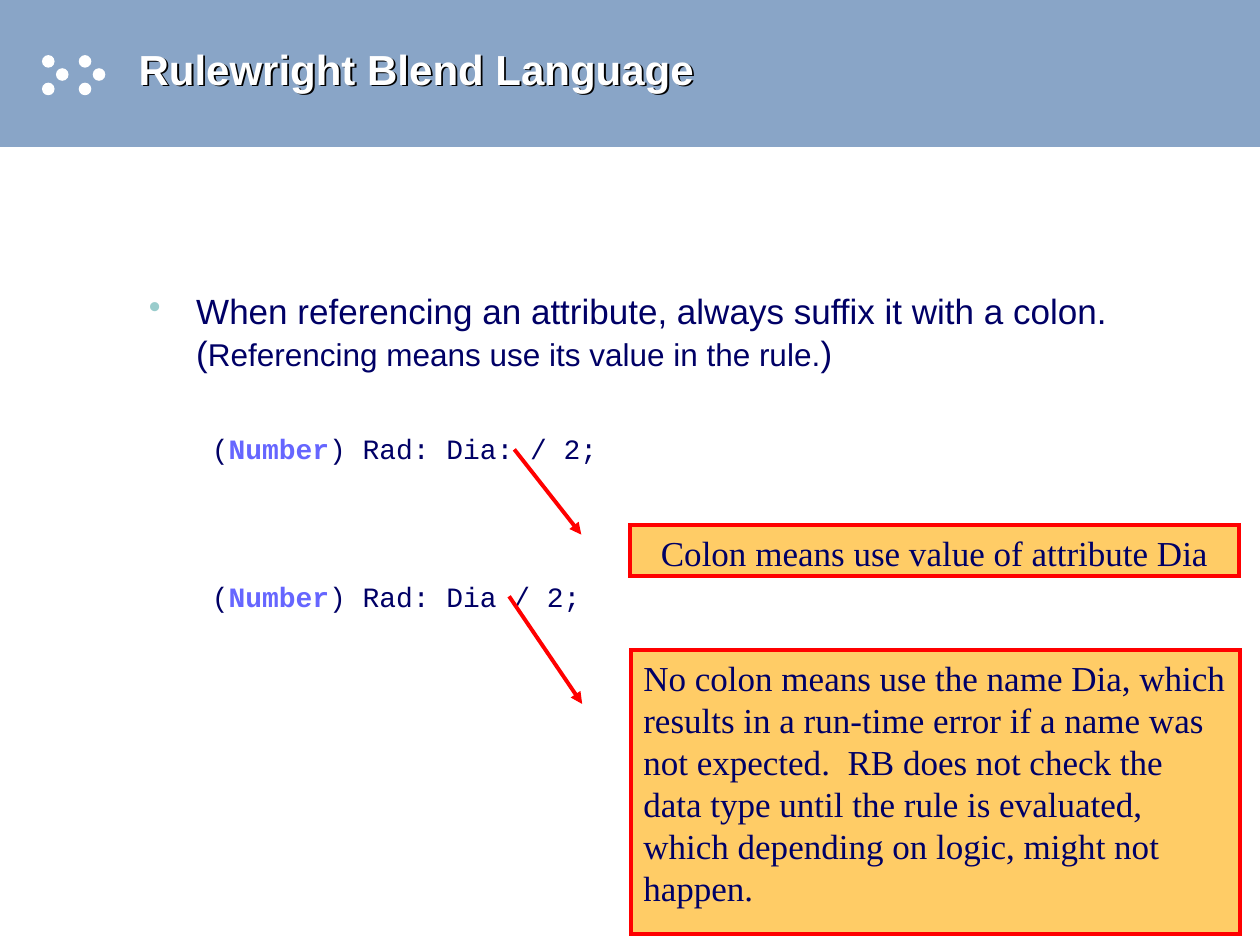
from dataclasses import dataclass

from lxml import etree
from pptx import Presentation
from pptx.dml.color import RGBColor
from pptx.enum.shapes import MSO_SHAPE
from pptx.enum.text import MSO_ANCHOR, MSO_AUTO_SIZE, PP_ALIGN
from pptx.oxml.ns import qn
from pptx.util import Pt

RECTANGLE = MSO_SHAPE.RECTANGLE
OVAL = MSO_SHAPE.OVAL
CALLOUT = MSO_SHAPE.LINE_CALLOUT_1
LEFT, CENTER = PP_ALIGN.LEFT, PP_ALIGN.CENTER
TOP, MIDDLE = MSO_ANCHOR.TOP, MSO_ANCHOR.MIDDLE
NO_FIT = MSO_AUTO_SIZE.NONE

WHITE, BANNER, NAVY = "FFFFFF", "89A5C7", "000066"
KEYWORD, BULLET, SHADOW = "6666FF", "99CCCC", "000000"
NOTE_FILL, NOTE_LINE = "FFCC66", "FF0000"

BODY = {"name": "Arial", "size": Pt(20), "color": NAVY}
SMALL = {**BODY, "size": Pt(18)}
CODE = {"name": "Courier New", "size": Pt(16), "color": NAVY}
TYPE = {**CODE, "color": KEYWORD, "bold": True}
NOTE = {"name": "Times New Roman", "size": Pt(20), "color": NAVY}
TITLE = {"name": "Arial", "size": Pt(24), "color": WHITE, "bold": True}


@dataclass
class Callout:
    text: str
    left: float
    top: float
    height: float
    pointer: tuple
    align: PP_ALIGN


@dataclass
class Line:
    spans: list
    margin: float
    indent: float
    before: float
    bullet: bool = False


CALLOUTS = [
    Callout("Colon means use value of attribute Dia", 360, 300, 29,
            (0.19, -0.08, -1.49, -0.19), CENTER),
    Callout("No colon means use the name Dia, which results in a run-time error "
            "if a name was not expected.  RB does not check the data type until "
            "the rule is evaluated, which depending on logic, might not happen.",
            360.5, 371.5, 162, (0.19, -0.08, -0.19, -0.2), LEFT),
]


def code_line(expression: str, before: float) -> Line:
    spans = [("(", CODE), ("Number", TYPE), (f") Rad: {expression};", CODE)]
    return Line(spans, 58.5, -22.5, before)


LINES = [
    Line([("When referencing an attribute, always suffix it with a colon. (", BODY),
          ("Referencing means use its value in the rule.", SMALL),
          (")", BODY)], 27, -27, 0, True),
    code_line("Dia: / 2", 33),
    code_line("Dia / 2", 65.5),
]


def rgb(value: str) -> RGBColor:
    return RGBColor.from_string(value)


def add_span(para, text: str, style: dict) -> None:
    span = para.add_run()
    span.text = text
    for key, value in style.items():
        if key == "color":
            span.font.color.rgb = rgb(value)
        else:
            setattr(span.font, key, value)


def set_frame(frame, anchor: MSO_ANCHOR) -> None:
    settings = {
        "word_wrap": True, "auto_size": NO_FIT, "vertical_anchor": anchor,
        "margin_left": Pt(7.2), "margin_right": Pt(7.2),
        "margin_top": Pt(3.6), "margin_bottom": Pt(3.6),
    }
    for key, value in settings.items():
        setattr(frame, key, value)


def add_filled(shapes, kind: MSO_SHAPE, bounds: tuple, color: str):
    box = shapes.add_shape(kind, *map(Pt, bounds))
    box.shadow.inherit = False
    box.fill.solid()
    box.fill.fore_color.rgb = rgb(color)
    box.line.fill.background()
    return box


def add_dots(page) -> None:
    group = page.shapes.add_group_shape()
    for left in (24, 45):
        for shift, top in ((0, 31.5), (8, 39), (0, 47.25)):
            add_filled(group.shapes, OVAL, (left + shift, top, 7.2, 7.2), WHITE)


def format_title(page) -> None:
    title = page.shapes.title
    title.left, title.top, title.width, title.height = map(Pt, (72, 0, 648, 78))
    set_frame(title.text_frame, MIDDLE)
    para = title.text_frame.paragraphs[0]
    para.alignment = LEFT
    add_span(para, "Rulewright Blend Language", TITLE)
    title.fill.background()
    title.shadow.inherit = False
    effects = title.element.spPr.find(qn("a:effectLst"))
    shadow = etree.SubElement(effects, qn("a:outerShdw"), dist=str(Pt(1.5)),
                              dir="2700000", algn="tl")
    etree.SubElement(shadow, qn("a:srgbClr"), val=SHADOW)
    title.element.getparent().append(title.element)


def add_body(page) -> None:
    box = page.shapes.add_textbox(*map(Pt, (78, 162, 588, 324)))
    frame = box.text_frame
    set_frame(frame, TOP)
    for number, line in enumerate(LINES):
        para = frame.add_paragraph() if number else frame.paragraphs[0]
        para.space_before = Pt(line.before)
        properties = para._p.get_or_add_pPr()
        properties.set("marL", str(Pt(line.margin)))
        properties.set("indent", str(Pt(line.indent)))
        if line.bullet:
            color = etree.SubElement(properties, qn("a:buClr"))
            etree.SubElement(color, qn("a:srgbClr"), val=BULLET)
            etree.SubElement(properties, qn("a:buChar"), char="•")
        for text, style in line.spans:
            add_span(para, text, style)


def add_callout(page, callout: Callout) -> None:
    bounds = (callout.left, callout.top, 348, callout.height)
    box = add_filled(page.shapes, CALLOUT, bounds, NOTE_FILL)
    box.line.color.rgb = rgb(NOTE_LINE)
    box.line.width = Pt(2.25)
    for position, value in enumerate(callout.pointer):
        box.adjustments[position] = value
    outline = box.element.spPr.find(qn("a:ln"))
    etree.SubElement(outline, qn("a:miter"), lim="800000")
    etree.SubElement(outline, qn("a:headEnd"), type="triangle")
    set_frame(box.text_frame, TOP)
    para = box.text_frame.paragraphs[0]
    para.alignment = callout.align
    add_span(para, callout.text, NOTE)


def main() -> None:
    deck = Presentation()
    deck.slide_width, deck.slide_height = Pt(720), Pt(540)
    page = deck.slides.add_slide(deck.slide_layouts[5])
    page.background.fill.solid()
    page.background.fill.fore_color.rgb = rgb(BANNER)
    add_filled(page.shapes, RECTANGLE, (0, 0, 720, 540), WHITE)
    add_filled(page.shapes, RECTANGLE, (0, 0, 720, 84), BANNER)
    add_dots(page)
    format_title(page)
    add_body(page)
    for callout in CALLOUTS:
        add_callout(page, callout)
    deck.save("out.pptx")


if __name__ == "__main__":
    main()
